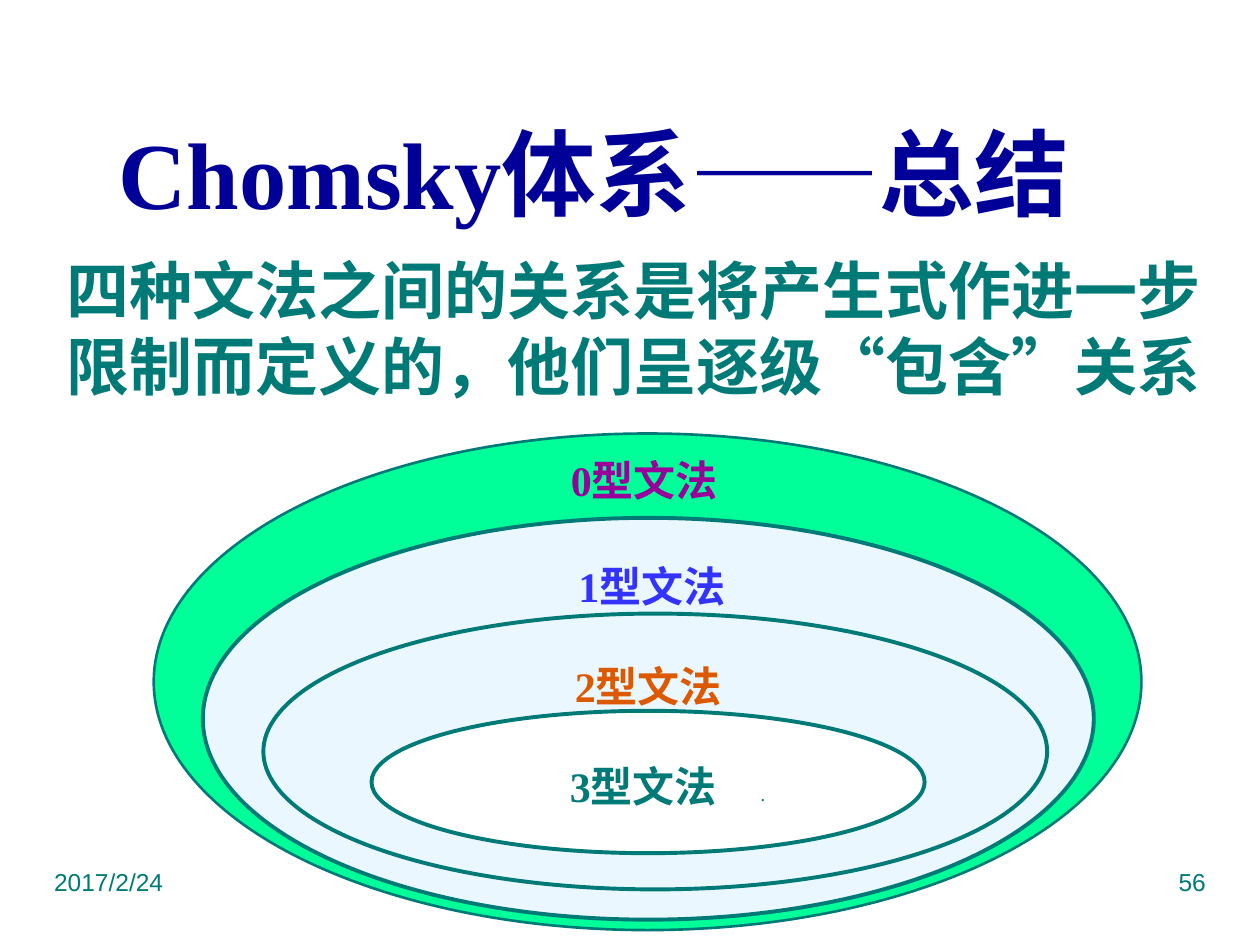
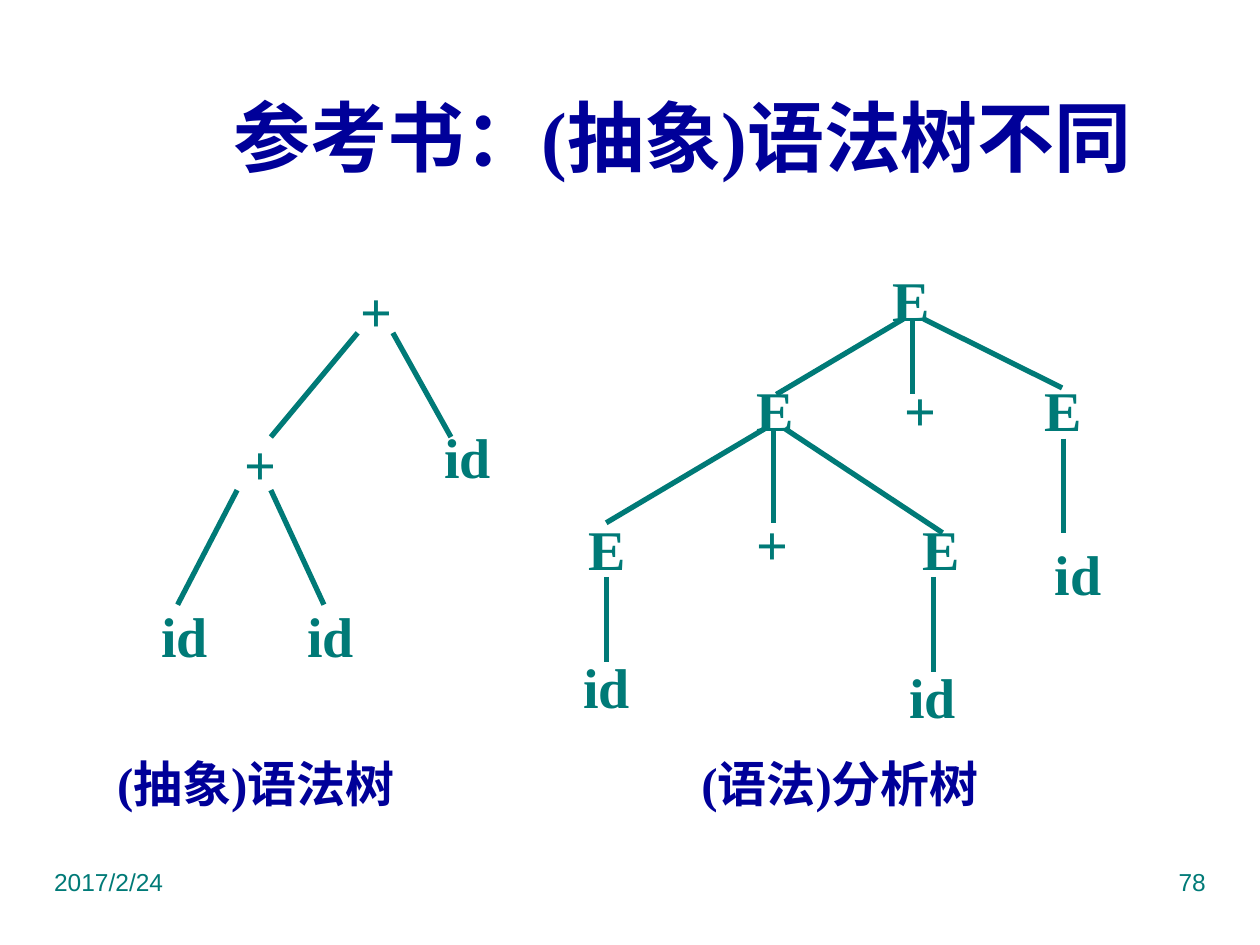
from typing import NamedTuple

from lxml.etree import SubElement
from pptx import Presentation
from pptx.dml.color import RGBColor
from pptx.enum.shapes import MSO_CONNECTOR as Connector, MSO_SHAPE as Shape
from pptx.enum.text import MSO_ANCHOR as Anchor, MSO_AUTO_SIZE as AutoSize, PP_ALIGN as Align
from pptx.oxml.ns import qn
from pptx.util import Cm, Pt

COLORS = {
    "teal": "007A77", "navy": "000099", "green": "00FF99", "ice": "EBF7FF",
    "white": "FFFFFF", "purple": "990099", "blue": "3333FF", "orange": "DC5900",
}
SERIF, SANS, CJK = "Times New Roman", "Arial", "Noto Sans CJK JP"
LINE_RATIO = 1.206  # line height as a share of the text size
DATE = "2017/2/24"


class Style(NamedTuple):
    size: float
    color: str
    font: str = SERIF
    bold: bool = True
    align: Align = Align.LEFT
    line_spacing: float = 1.0


class Area(NamedTuple):
    """Left, top, width and height in centimetres."""
    left: float
    top: float
    width: float
    height: float


class Ring(NamedTuple):
    area: Area
    fill: str
    line_width: float


class Label(NamedTuple):
    text: str
    center: float
    top: float
    color: str
    size: float = 24


class Node(NamedTuple):
    text: str
    left: float
    top: float


class Branch(NamedTuple):
    x1: float
    y1: float
    x2: float
    y2: float


class Caption(NamedTuple):
    symbol: str
    name: str
    area: Area


FOOTER = Style(14, "teal", SANS, bold=False)
NODE = Style(32, "teal")
CAPTION = Style(28, "navy", line_spacing=1.1)

# Nested grammar classes, outermost first
RINGS = [
    Ring(Area(3.1, 8.74, 19.91, 10.01), "green", 1.5),
    Ring(Area(4.09, 10.44, 17.96, 8.1), "ice", 2.25),
    Ring(Area(5.31, 12.37, 15.8, 5.56), "ice", 2.25),
    Ring(Area(7.49, 14.33, 11.15, 2.87), "white", 2.25),
]
LABELS = [
    Label("0型文法", 12.99, 9.04, "purple"),
    Label("1型文法", 13.14, 11.18, "blue"),
    Label("2型文法", 13.07, 13.18, "orange"),
    Label("3型文法", 12.97, 15.21, "teal"),
    Label(".", 15.38, 15.76, "teal", 8),
]

# Abstract syntax tree on the left, parse tree on the right
NODES = [
    Node("+", 7.01, 5.44), Node("id", 8.71, 8.38), Node("+", 4.67, 8.53),
    Node("id", 3, 11.99), Node("id", 5.94, 11.99),
    Node("E", 17.75, 5.23),
    Node("E", 15.01, 7.44), Node("+", 17.98, 7.44), Node("E", 20.8, 7.44),
    Node("E", 11.61, 10.24), Node("+", 15.01, 10.13), Node("E", 18.34, 10.24),
    Node("id", 21.01, 10.74), Node("id", 11.51, 13.03), Node("id", 18.08, 13.23),
]
BRANCHES = [
    Branch(7.21, 6.71, 5.46, 8.81), Branch(7.92, 6.71, 9.09, 8.81),
    Branch(4.78, 9.88, 3.58, 12.19), Branch(5.46, 9.88, 6.53, 12.19),
    Branch(18.21, 6.43, 15.65, 7.95), Branch(18.39, 6.45, 18.39, 7.95),
    Branch(18.62, 6.43, 21.41, 7.82),
    Branch(15.42, 8.64, 12.22, 10.54), Branch(15.6, 8.64, 15.6, 10.54),
    Branch(15.82, 8.64, 19, 10.74),
    Branch(12.22, 11.63, 12.22, 13.34), Branch(18.82, 11.63, 18.82, 13.54),
    Branch(21.44, 8.84, 21.44, 10.74),
]
CAPTIONS = [
    Caption("(抽象)", "语法树", Area(2.11, 14.94, 7.82, 1.55)),
    Caption("(语法)", "分析树", Area(13.89, 14.94, 6.6, 1.55)),
]


def color(name: str) -> RGBColor:
    return RGBColor.from_string(COLORS[name])


def lengths(values: tuple) -> list:
    return [Cm(value) for value in values]


def write(box, texts: list[str], style: Style, anchor: Anchor = Anchor.TOP) -> None:
    """Fill a box with one paragraph, one span for each text."""
    frame = box.text_frame
    frame_format = {"word_wrap": True, "auto_size": AutoSize.NONE, "vertical_anchor": anchor}
    for name, value in frame_format.items():
        setattr(frame, name, value)
    para = frame.paragraphs[0]
    para_format = {
        "alignment": style.align, "space_before": Pt(0),
        "line_spacing": Pt(round(style.size * LINE_RATIO * style.line_spacing, 1)),
    }
    for name, value in para_format.items():
        setattr(para, name, value)
    for text in texts:
        span = para.add_run()
        span.text = text
        span_format = {"name": style.font, "size": Pt(style.size), "bold": style.bold}
        for name, value in span_format.items():
            setattr(span.font, name, value)
        span.font.color.rgb = color(style.color)
        SubElement(span.font._element, qn("a:ea"), typeface=CJK)


def add_text(page, area: Area, texts: list[str], style: Style) -> None:
    write(page.shapes.add_textbox(*lengths(area)), texts, style)


def fill_placeholder(holder, area: Area, text: str, style: Style, anchor: Anchor) -> None:
    for name, value in zip(Area._fields, lengths(area)):
        setattr(holder, name, value)
    write(holder, [text], style, anchor)


def add_page(deck, layout: int, number: int, title: str, area: Area, size: float, anchor: Anchor):
    """Start a page with its title, date and page number."""
    page = deck.slides.add_slide(deck.slide_layouts[layout])
    fill_placeholder(page.shapes.title, area, title,
                     Style(size, "navy", align=Align.CENTER), anchor)
    add_text(page, Area(0.84, 17.35, 6.35, 1.32), [DATE], FOOTER)
    add_text(page, Area(18.21, 17.35, 6.35, 1.32), [str(number)],
             FOOTER._replace(align=Align.RIGHT))
    return page


def add_ring(page, ring: Ring) -> None:
    oval = page.shapes.add_shape(Shape.OVAL, *lengths(ring.area))
    oval.shadow.inherit = False
    oval.fill.solid()
    oval.fill.fore_color.rgb = color(ring.fill)
    oval.line.color.rgb = color("teal")
    oval.line.width = Pt(ring.line_width)


def add_branch(page, branch: Branch) -> None:
    line = page.shapes.add_connector(Connector.STRAIGHT, *lengths(branch))
    line.line.color.rgb = color("teal")
    line.line.width = Pt(3)
    SubElement(line._element.spPr, qn("a:effectLst"))


def build_hierarchy(deck) -> None:
    page = add_page(deck, 1, 56, "Chomsky体系——总结",
                    Area(0.84, 2.57, 22.25, 2.16), 54, Anchor.BOTTOM)
    body = page.placeholders[1]
    fill_placeholder(body, Area(1.09, 4.93, 23.77, 3.96),
                     "四种文法之间的关系是将产生式作进一步限制而定义的，他们呈逐级“包含”关系",
                     Style(36, "teal"), Anchor.TOP)
    # Plain paragraph instead of a bullet
    props = body.text_frame.paragraphs[0]._p.get_or_add_pPr()
    for name in ("marL", "indent"):
        props.set(name, "0")
    SubElement(props, qn("a:buNone"))
    for ring in RINGS:
        add_ring(page, ring)
    width = 5.6
    for label in LABELS:
        add_text(page, Area(label.center - width / 2, label.top, width, 1.27), [label.text],
                 Style(label.size, label.color, align=Align.CENTER))


def build_trees(deck) -> None:
    page = add_page(deck, 5, 78, "参考书：(抽象)语法树不同",
                    Area(2.97, 1.47, 21.59, 2.54), 44, Anchor.MIDDLE)
    for branch in BRANCHES:
        add_branch(page, branch)
    for node in NODES:
        add_text(page, Area(node.left, node.top, 2.1, 1.7), [node.text], NODE)
    for caption in CAPTIONS:
        add_text(page, caption.area, [caption.symbol, caption.name], CAPTION)


def main() -> None:
    deck = Presentation()
    deck.slide_width, deck.slide_height = Cm(25.4), Cm(19.05)
    build_hierarchy(deck)
    build_trees(deck)
    deck.save("out.pptx")


if __name__ == "__main__":
    main()
